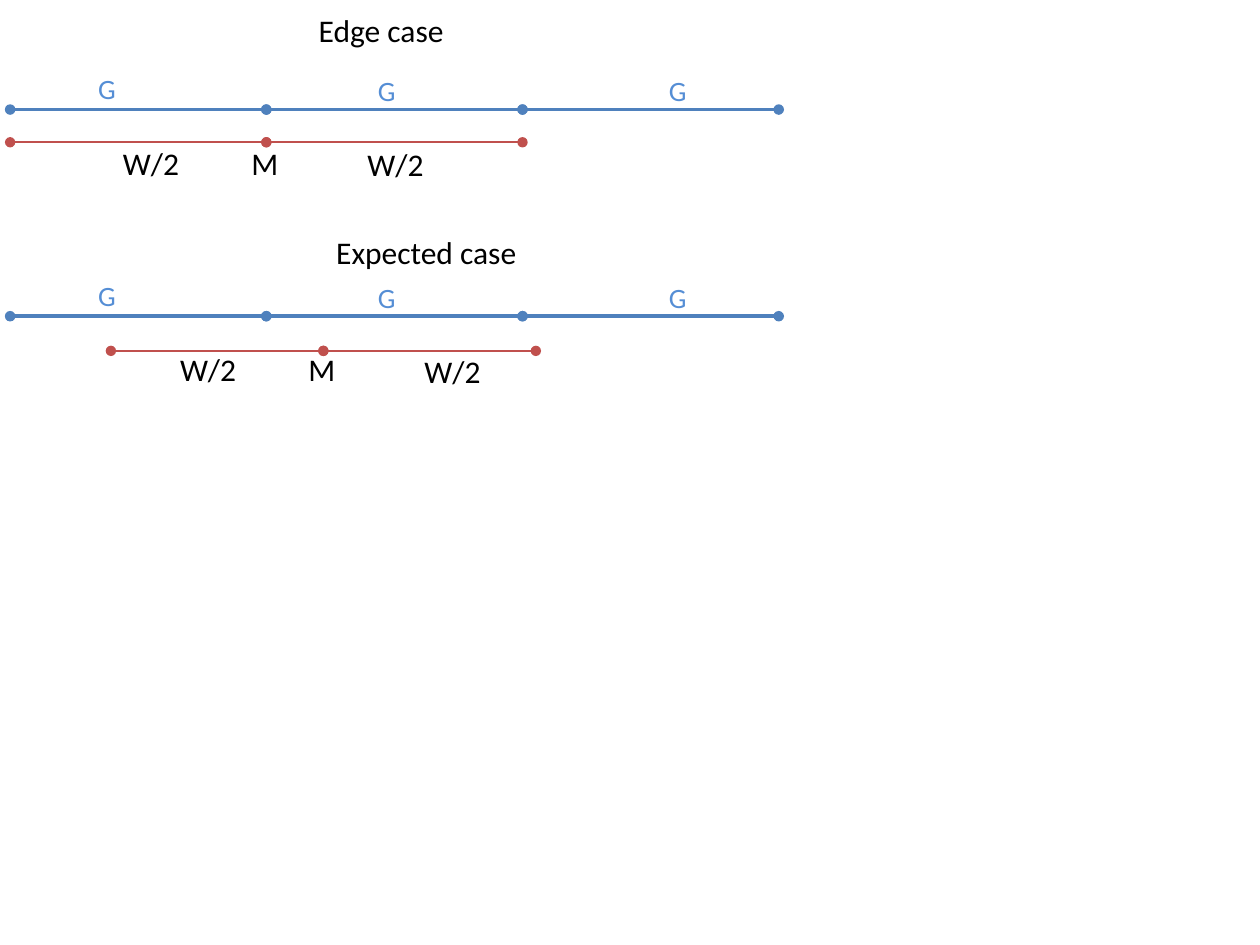
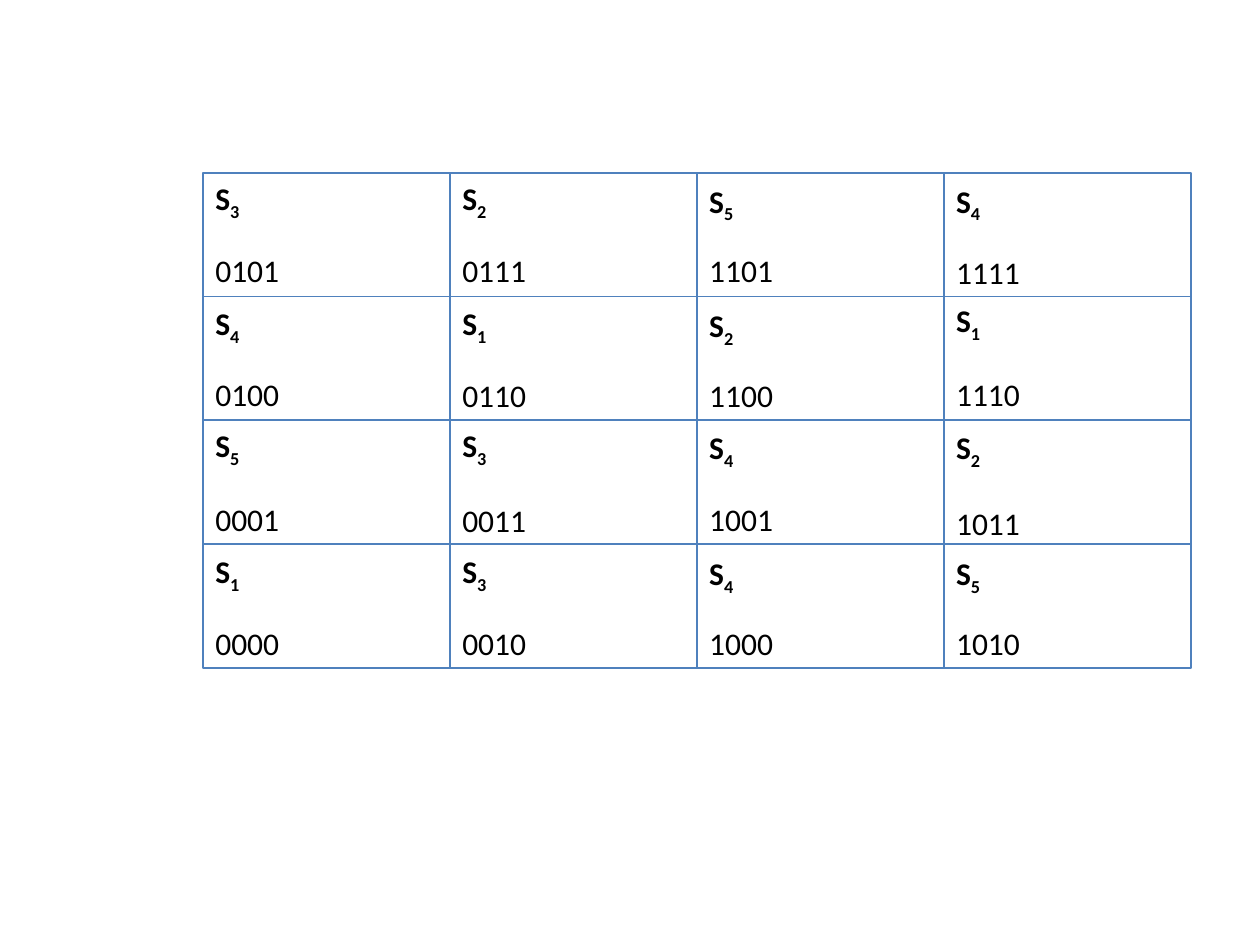
from pptx import Presentation
from pptx.dml.color import RGBColor
from pptx.enum import shapes, text
from pptx.oxml import ns
from pptx.util import Pt
from lxml import etree

BLUE = RGBColor(0x4F, 0x81, 0xBD)
LIGHT_BLUE = RGBColor(0x55, 0x8E, 0xD5)
RED = RGBColor(0xC0, 0x50, 0x4D)
BLACK = RGBColor(0, 0, 0)
FONT = "Calibri"

GRID_STEP = 146.4
CELL_WIDTH, CELL_HEIGHT = 141.1, 70.7

# Each cell: server number, code, label offset and code offset from the cell top.
CELLS = [
    [(3, "0101", 0, 41), (2, "0111", 0, 41), (5, "1101", 1.4, 41), (4, "1111", 1.4, 42.5)],
    [(4, "0100", 0.5, 41.5), (1, "0110", 0.5, 42), (2, "1100", 2, 42), (1, "1110", -1, 41.5)],
    [(5, "0001", -0.4, 42), (3, "0011", -0.4, 42.8), (4, "1001", 1, 42), (2, "1011", 1, 44.2)],
    [(1, "0000", 0.8, 42), (3, "0010", 0.8, 42), (4, "1000", 2.2, 42), (5, "1010", 2.2, 42)],
]


def add_text(slide, left, top, width, height, content, size=18, color=BLACK, bold=False, subscript=""):
    """Add a left-aligned text box, with an optional subscript run."""
    box = slide.shapes.add_textbox(Pt(left), Pt(top), Pt(width), Pt(height))
    frame = box.text_frame
    frame.word_wrap = True
    frame.auto_size = text.MSO_AUTO_SIZE.SHAPE_TO_FIT_TEXT
    paragraph = frame.paragraphs[0]
    for part in filter(None, (content, subscript)):
        run = paragraph.add_run()
        run.text = part
        run.font.name = FONT
        run.font.size = Pt(size)
        run.font.bold = bold
        run.font.color.rgb = color
    if subscript:
        run.font._element.set("baseline", "-25000")


def add_line(slide, start, end, color=BLUE, width=1, dots=False):
    """Draw a straight connector, with round ends when dots is set."""
    line = slide.shapes.add_connector(shapes.MSO_CONNECTOR.STRAIGHT, *map(Pt, start + end))
    line.line.color.rgb = color
    line.line.width = Pt(width)
    if dots:
        outline = line.line._get_or_add_ln()
        for end_name in ("a:headEnd", "a:tailEnd"):
            etree.SubElement(outline, ns.qn(end_name), type="oval")
    etree.SubElement(line._element.spPr, ns.qn("a:effectLst"))


def draw_case(slide, left, top, title, title_left, title_rise, window_left, half_window, window_drop):
    """Draw three grid steps G and a window W around its middle M."""
    add_text(slide, left + title_left, top - title_rise, 121.7, 29, title)
    for step, (label_left, label_rise) in enumerate([(43.2, 25.2), (203, 24), (369.4, 24)]):
        start = left + step * GRID_STEP
        add_line(slide, (start, top), (start + GRID_STEP, top), width=2, dots=True)
        add_text(slide, left + label_left, top - label_rise, 20.2, 26.6, "G", 16, LIGHT_BLUE)
    middle = left + window_left + half_window
    for start in (middle - half_window, middle):
        add_line(slide, (start, top + window_drop), (start + half_window, top + window_drop), RED, dots=True)
    for content, offset, drop, width in [("W/2", -89, 16, 48.2), ("M", -15.6, 16, 26.6), ("W/2", 50.7, 17, 48.2)]:
        add_text(slide, middle + offset, top + drop, width, 29, content)


def draw_quadrant(slide, left, top):
    """Draw a rectangle split into four cells."""
    width, height = 2 * CELL_WIDTH, 2 * CELL_HEIGHT
    square = slide.shapes.add_shape(shapes.MSO_SHAPE.RECTANGLE, Pt(left), Pt(top), Pt(width), Pt(height))
    square.shadow.inherit = False
    square.fill.background()
    square.line.color.rgb = BLUE
    square.line.width = Pt(1)
    add_line(slide, (left + CELL_WIDTH, top), (left + CELL_WIDTH, top + height))
    add_line(slide, (left, top + CELL_HEIGHT), (left + width, top + CELL_HEIGHT))


def draw_code_grid(slide, left, top):
    """Draw the four quadrants and the server and code of every cell."""
    for row in (0, 2):
        for column in (0, 2):
            draw_quadrant(slide, left + column * CELL_WIDTH, top + row * CELL_HEIGHT)
    for row, cells in enumerate(CELLS):
        for column, (server, code, label_drop, code_drop) in enumerate(cells):
            cell_left = left + column * CELL_WIDTH
            cell_top = top + row * CELL_HEIGHT
            add_text(slide, cell_left, cell_top + label_drop, 38.9, 29, "S", bold=True, subscript=str(server))
            add_text(slide, cell_left, cell_top + code_drop, 52.6, 29, code)


def main():
    """Build both slides and save them."""
    presentation = Presentation()
    presentation.slide_width, presentation.slide_height = Pt(720), Pt(540)
    blank = presentation.slide_layouts[6]
    cases = presentation.slides.add_slide(blank)
    draw_case(cases, 5.8, 62.6, "Edge case", 169.2, 59.7, 0, GRID_STEP, 18.7)
    draw_case(cases, 5.8, 180.7, "Expected case", 179.2, 51.1, 57.6, 121.4, 19.8)
    draw_code_grid(presentation.slides.add_slide(blank), 116, 98.8)
    presentation.save("out.pptx")


if __name__ == "__main__":
    main()
